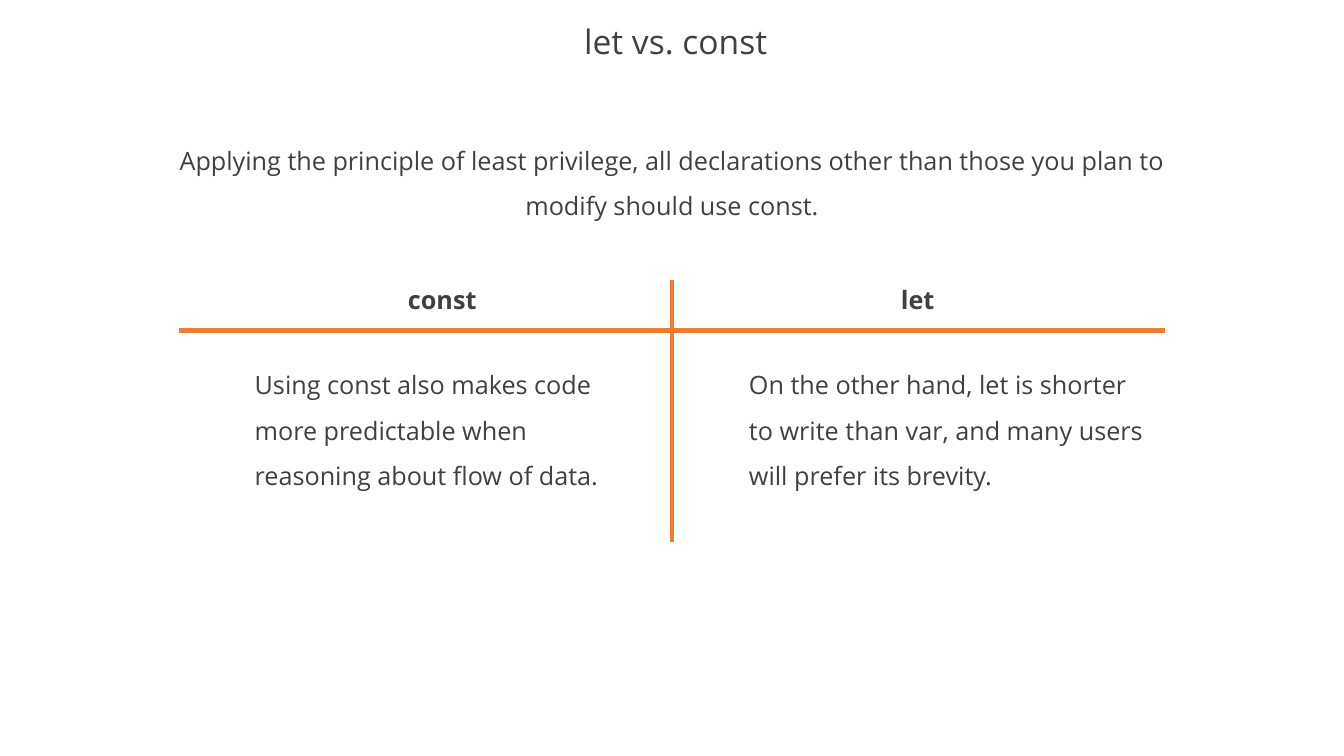
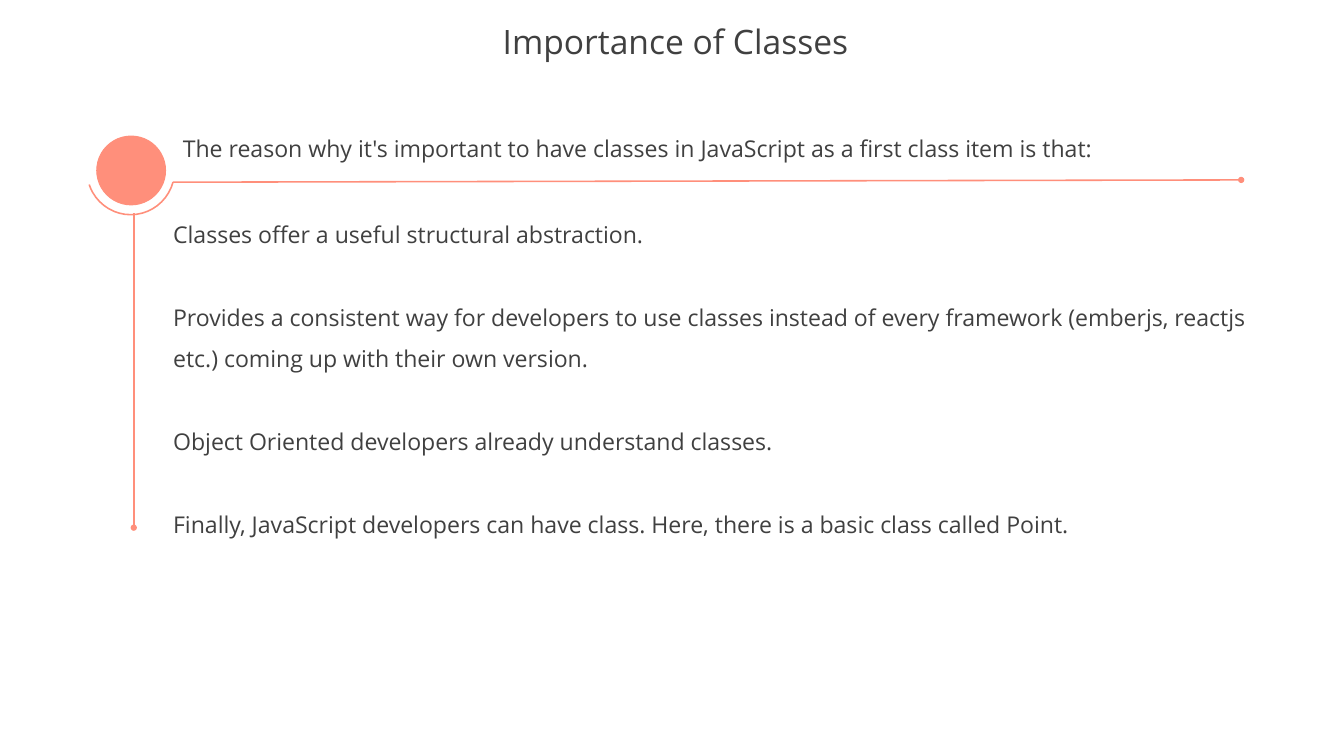
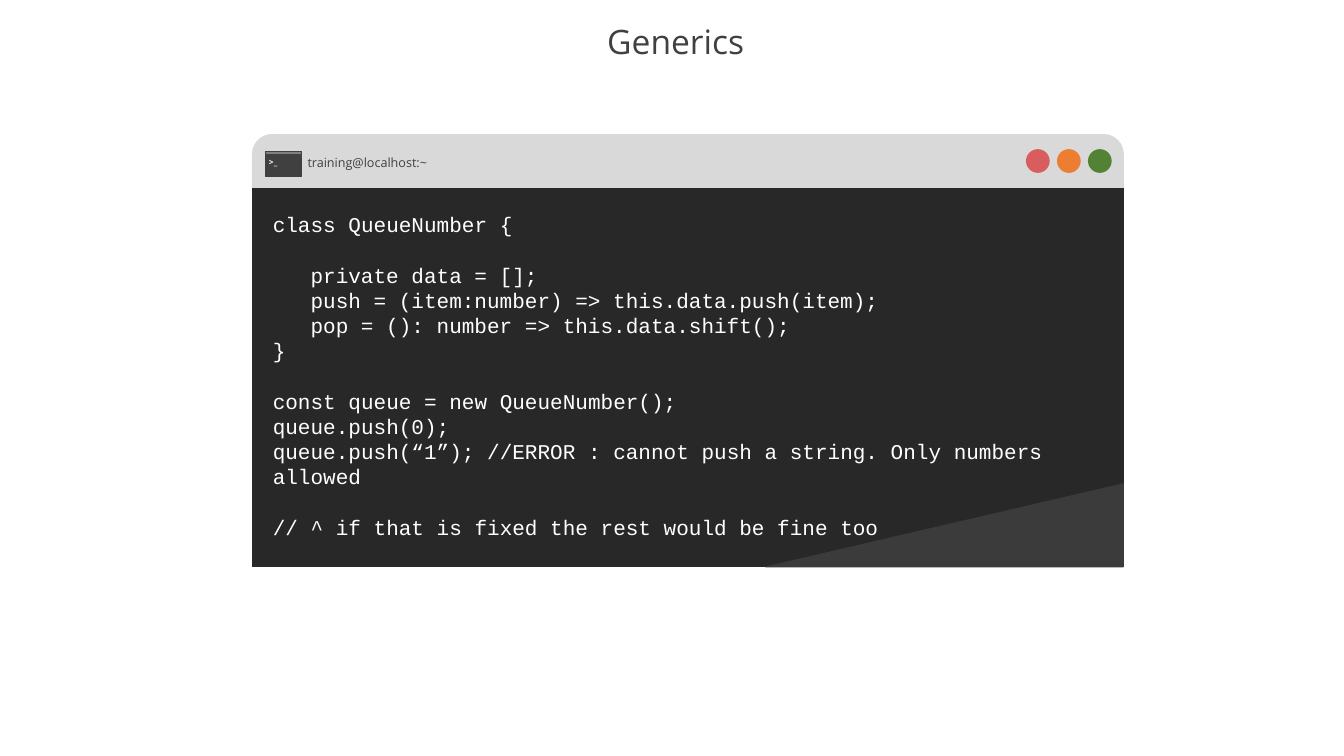
"""Build three slides on let and const, classes and generics."""
from lxml import etree
from pptx import Presentation
from pptx import util as u
from pptx.dml.color import RGBColor
from pptx.enum import shapes, text
from pptx.oxml.ns import qn

HUES = {
    "ink": "404040", "white": "FFFFFF", "orange": "ED7D31", "coral": "FF8F7B",
    "dark": "282828", "shade": "3B3B3B", "bar": "D9D9D9", "red": "D95D5D",
    "green": "548235", "grey": "808080",
}
SANS = "Open Sans"
MONO = "Courier New"
KIND = shapes.MSO_SHAPE
MID = text.PP_ALIGN.CENTER
LEFT = text.PP_ALIGN.LEFT


def hue(name):
    return RGBColor.from_string(HUES[name])


def place(item, box):
    item.left, item.top, item.width, item.height = map(u.Inches, box)


def style(par, size, color="ink", font=SANS, bold=False, align=LEFT, lead=None, gap=0):
    par.alignment = align
    par.space_before = u.Pt(gap)
    if lead:
        par.line_spacing = lead
    for run in par.runs:
        run.font.size = u.Pt(size)
        run.font.name = font
        run.font.bold = bold
        run.font.color.rgb = hue(color)


def add_page(deck, name, layout=5):
    page = deck.slides.add_slide(deck.slide_layouts[layout])
    title = page.shapes.title
    place(title, (0, 0.21, 17.78, 0.73))
    frame = title.text_frame
    frame.text = name
    frame.auto_size = text.MSO_AUTO_SIZE.NONE
    frame.vertical_anchor = text.MSO_ANCHOR.MIDDLE
    frame.margin_left = u.Inches(0.1)
    frame.margin_top = frame.margin_right = frame.margin_bottom = 0
    style(frame.paragraphs[0], 32, align=MID, lead=0.9)
    return page


def add_text(page, words, box, size, wrap=True, **look):
    frame = page.shapes.add_textbox(*map(u.Inches, box)).text_frame
    frame.word_wrap = wrap
    frame.text = words
    style(frame.paragraphs[0], size, **look)
    return frame


def paint(shape, fill, line=None):
    shape.shadow.inherit = False
    if fill:
        shape.fill.solid()
        shape.fill.fore_color.rgb = hue(fill)
    else:
        shape.fill.background()
    shape.line.color.rgb = hue(line or fill)
    shape.line.width = u.Pt(1)
    return shape


def add_form(page, kind, box, fill, line=None):
    return paint(page.shapes.add_shape(kind, *map(u.Inches, box)), fill, line)


def add_line(page, start, end, color, width, dot=False):
    line = page.shapes.add_connector(
        shapes.MSO_CONNECTOR.STRAIGHT, *map(u.Inches, start + end))
    line.line.color.rgb = hue(color)
    line.line.width = u.Pt(width)
    if dot:
        etree.SubElement(line.line._get_or_add_ln(), qn("a:tailEnd"), type="oval")
    etree.SubElement(line._element.spPr, qn("a:effectLst"))


def add_list(page, items, box, size, gap):
    body = page.placeholders[1]
    place(body, box)
    frame = body.text_frame
    frame.auto_size = text.MSO_AUTO_SIZE.NONE
    frame.text = "\n".join(items)
    for i, par in enumerate(frame.paragraphs):
        props = par._p.get_or_add_pPr()
        props.set("marL", "0")
        props.set("indent", "0")
        etree.SubElement(props, qn("a:buNone"))
        style(par, size, lead=1.5, gap=gap if i else 0)


def add_code(page, blocks, box, size, gap):
    frame = add_text(page, "", box, size)
    frame.text = "\n".join(line for block in blocks for line in block)
    heads = [block[0] for block in blocks[1:]]
    for par in frame.paragraphs:
        style(par, size, "white", MONO, gap=gap if par.text in heads else 0)


def add_window(page):
    left, wide = 3.34, 11.52
    right, base = left + wide, 7.5
    add_form(page, KIND.RECTANGLE, (left, 2.46, wide, 5.04), "dark")
    pen = page.shapes.build_freeform(u.Inches(right), u.Inches(6.4))
    pen.add_line_segments(
        [(u.Inches(x), u.Inches(base)) for x in (right, 10.13)], close=True)
    paint(pen.convert_to_shape(), "shade")
    bar = add_form(page, KIND.ROUND_2_SAME_RECTANGLE, (left, 1.78, wide, 0.7), "bar")
    bar.adjustments[0] = 0.37
    for i, color in enumerate(("red", "orange", "green")):
        add_form(page, KIND.OVAL, (13.58 + 0.41 * i, 1.98, 0.3, 0.3), color)
    add_text(page, "training@localhost:~", (3.97, 2, 1.8, 0.3), 12, wrap=False)
    add_form(page, KIND.RECTANGLE, (3.51, 2.06, 0.48, 0.27), "ink")
    add_form(page, KIND.RECTANGLE, (3.51, 2, 0.48, 0.05), "grey", "ink")
    add_text(page, ">_", (3.46, 2.03, 0.31, 0.24), 8, wrap=False,
             color="white", bold=True)


def build_const(deck):
    page = add_page(deck, "let vs. const")
    add_text(page, "Applying the principle of least privilege, all declarations other "
             "than those you plan to modify should use const.",
             (2.26, 1.67, 13.26, 1.31), 24, align=MID, lead=1.5)
    add_line(page, (8.89, 3.71), (8.89, 7.17), "orange", 4.5)
    add_line(page, (2.37, 4.37), (15.41, 4.37), "orange", 4.5)
    sides = (
        ("const", 4.95, 1.8, 3.27, 5.42,
         "Using const also makes code more predictable when reasoning about flow of data."),
        ("let", 11.09, 2.1, 9.81, 5.47,
         "On the other hand, let is shorter to write than var, and many users "
         "will prefer its brevity."),
    )
    for head, x, wide, left, span, words in sides:
        add_text(page, head, (x, 3.71, wide, 0.5), 24, bold=True, align=MID)
        add_text(page, words, (left, 4.64, span, 1.92), 24, lead=1.5)


def build_class(deck):
    page = add_page(deck, "Importance of Classes", 1)
    add_form(page, KIND.OVAL, (1.28, 1.8, 0.91, 0.91), "coral")
    add_line(page, (2.29, 2.41), (16.42, 2.38), "coral", 1.5, dot=True)
    arc = add_form(page, KIND.ARC, (1.15, 1.67, 1.16, 1.17), None, "coral")
    arc.line.width = u.Pt(1.5)
    arc.adjustments[0], arc.adjustments[1] = 9.19, 96.73
    add_line(page, (1.77, 2.82), (1.77, 6.98), "coral", 1.5, dot=True)
    add_text(page, "The reason why it's important to have classes in JavaScript "
             "as a first class item is that:", (2.32, 1.55, 13.18, 0.66), 22, lead=1.5)
    add_list(page, (
        "Classes offer a useful structural abstraction.",
        "Provides a consistent way for developers to use classes instead of every "
        "framework (emberjs, reactjs etc.) coming up with their own version.",
        "Object Oriented developers already understand classes.",
        "Finally, JavaScript developers can have class. Here, there is a basic class "
        "called Point.",
    ), (2.19, 2.68, 14.55, 4.54), 22, 39.5)


def build_queue(deck):
    page = add_page(deck, "Generics")
    add_window(page)
    add_code(page, (
        ("class QueueNumber {",),
        ("\tprivate data = [];",
         "\tpush = (item:number) => this.data.push(item);",
         "\tpop = (): number => this.data.shift();",
         "}"),
        ("const queue = new QueueNumber();",
         "queue.push(0);",
         "queue.push(“1”); //ERROR : cannot push a string. Only numbers allowed"),
        ("// ^ if that is fixed the rest would be fine too",),
    ), (3.51, 2.75, 10.89, 4.48), 20, 24)


def main():
    deck = Presentation()
    deck.slide_width, deck.slide_height = u.Inches(17.78), u.Inches(10)
    build_const(deck)
    build_class(deck)
    build_queue(deck)
    deck.save("out.pptx")


if __name__ == "__main__":
    main()
